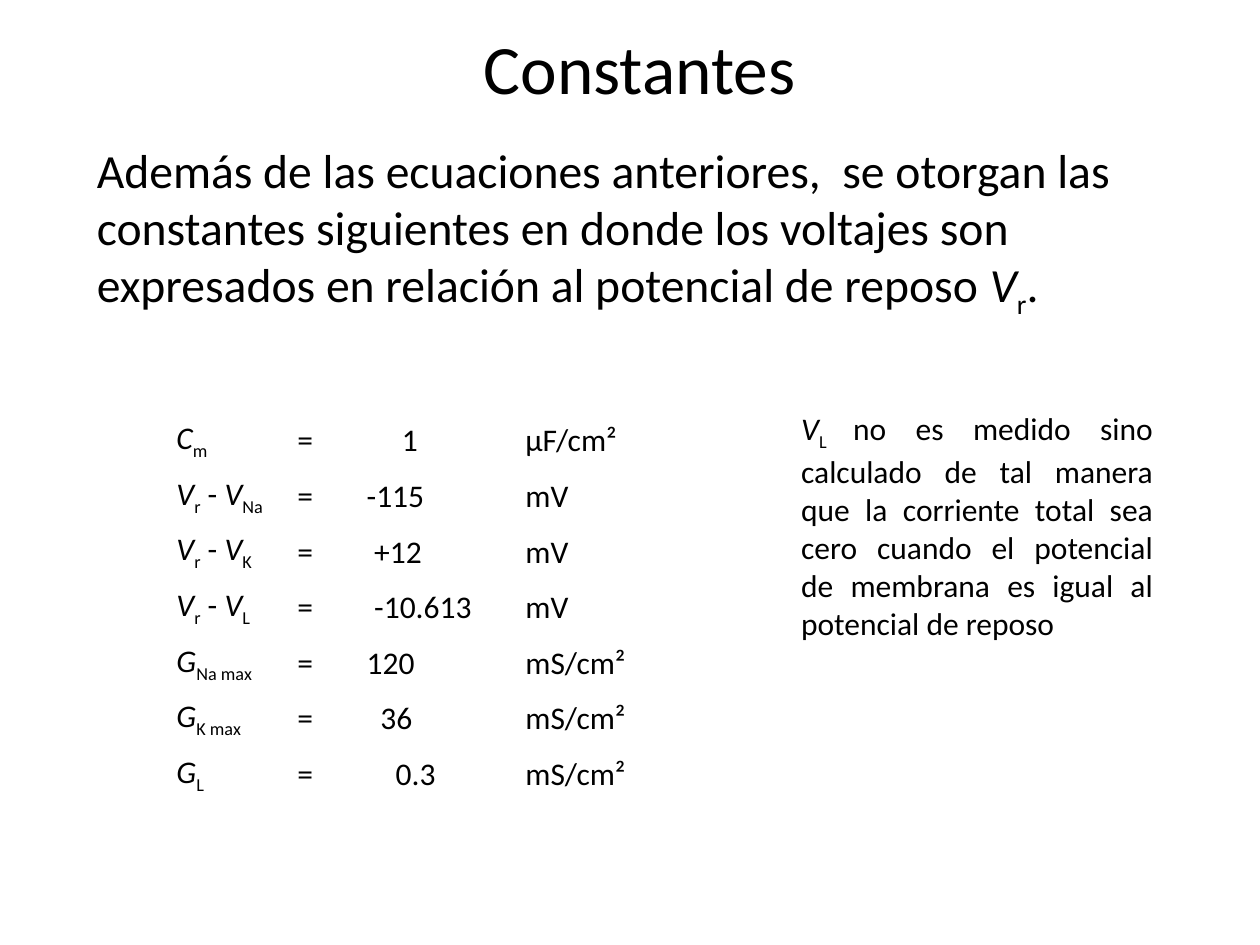
"""Builds the slide listing the membrane model constants."""
from pptx import Presentation
from pptx import util as u
from pptx.dml.color import RGBColor
from pptx.enum import text

COLORS = {"ink": "000000"}
FONT = "Calibri"
INSET = 0.1
COLUMN_WIDTHS = (0.96, 0.55, 1.26, 1.18)
ROW_HEIGHT = 0.44


def symbol(letter, index):
    return [(letter, "italic"), (index, "sub")]


def difference(index):
    return symbol("V", "r") + [("\u00a0-\u00a0", "plain")] + symbol("V", index)


CONSTANTS = (
    (symbol("C", "m"), "1", 0.28, "µF/cm²"),
    (difference("Na"), "-115", 0, "mV"),
    (difference("K"), "+12", 0.06, "mV"),
    (difference("L"), "-10.613", 0.06, "mV"),
    (symbol("G", "Na max"), "120", 0, "mS/cm²"),
    (symbol("G", "K max"), "36", 0.11, "mS/cm²"),
    (symbol("G", "L"), "0.3", 0.23, "mS/cm²"),
)


def add_runs(paragraph, runs, size):
    for content, style in runs:
        run = paragraph.add_run()
        run.text = content
        font = run.font
        font.name = FONT
        font.size = u.Pt(size)
        font.italic = style == "italic"
        font.color.rgb = RGBColor.from_string(COLORS["ink"])
        if style == "sub":
            run._r.get_or_add_rPr().set("baseline", "-25000")


def add_text(slide, box, runs, size, alignment=text.PP_ALIGN.LEFT,
             anchor=text.MSO_ANCHOR.TOP, space_before=0):
    shape = slide.shapes.add_textbox(*(u.Inches(length) for length in box))
    frame = shape.text_frame
    frame.word_wrap = True
    frame.vertical_anchor = anchor
    paragraph = frame.paragraphs[0]
    paragraph.alignment = alignment
    paragraph.space_before = u.Pt(space_before)
    add_runs(paragraph, runs, size)


def fill_cell(cell, runs, indent=0):
    cell.fill.background()
    cell.vertical_anchor = text.MSO_ANCHOR.MIDDLE
    cell.margin_left = u.Inches(INSET + indent)
    add_runs(cell.text_frame.paragraphs[0], runs, 18)


def add_constants_table(slide, left, top):
    width, height = sum(COLUMN_WIDTHS), ROW_HEIGHT * len(CONSTANTS)
    table = slide.shapes.add_table(
        len(CONSTANTS), len(COLUMN_WIDTHS), u.Inches(left), u.Inches(top),
        u.Inches(width), u.Inches(height)).table
    table.first_row = table.horz_banding = False
    for column, column_width in zip(table.columns, COLUMN_WIDTHS):
        column.width = u.Inches(column_width)
    for row, (name, value, indent, unit) in zip(table.rows, CONSTANTS):
        row.height = u.Inches(ROW_HEIGHT)
        name_cell, equals_cell, value_cell, unit_cell = row.cells
        fill_cell(name_cell, name)
        fill_cell(equals_cell, [("=", "plain")])
        fill_cell(value_cell, [(value, "plain")], indent)
        fill_cell(unit_cell, [(unit, "plain")])


def main():
    presentation = Presentation()
    presentation.slide_width = u.Inches(10)
    presentation.slide_height = u.Inches(7.5)
    slide = presentation.slides.add_slide(presentation.slide_layouts[6])
    add_text(slide, (0.5, 0.3, 9.15, 0.46), [("Constantes", "plain")], 39.6,
             text.PP_ALIGN.CENTER, text.MSO_ANCHOR.MIDDLE)
    introduction = [
        ("Además de las ecuaciones anteriores,  se otorgan las constantes "
         "siguientes en donde los voltajes son expresados en relación al "
         "potencial de reposo ", "plain"),
        *symbol("V", "r"), (".", "plain")]
    add_text(slide, (0.67, 1.07, 8.83, 1.21), introduction, 27.2, space_before=5.4)
    add_constants_table(slide, 1.3, 3.28)
    remark = symbol("V", "L ") + [
        ("no es medido sino calculado de tal manera que la corriente total sea "
         "cero cuando el potencial de membrana es igual al potencial de reposo",
         "plain")]
    add_text(slide, (6.26, 3.2, 2.99, 1.92), remark, 18, text.PP_ALIGN.JUSTIFY)
    presentation.save("out.pptx")


main()
